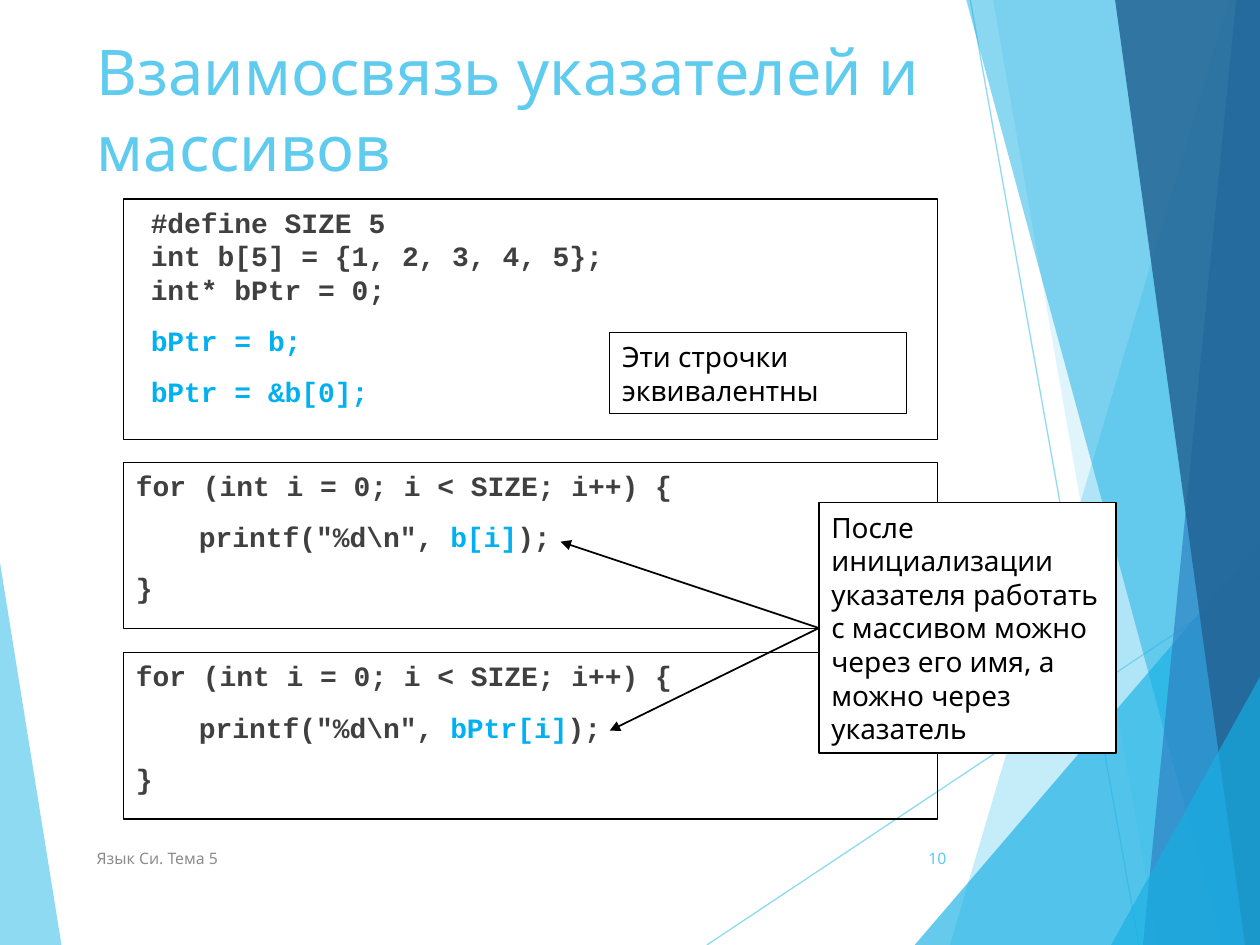
from lxml import etree
from pptx import Presentation
from pptx import util as u
from pptx.dml import color
from pptx.enum import shapes, text
from pptx.oxml import ns

HUES = {"sky": "5FCBEF", "aqua": "17B0E4", "blue": "2E83C3", "navy": "226292",
        "code": "404040", "mark": "00B0F0", "gray": "8C8C8C",
        "black": "000000", "white": "FFFFFF"}
WIDE, HIGH = 25.4, 19.05
LEFT, RIGHT = -0.03, 25.43

WEDGE = (LEFT, 11.15, 1.24, LEFT, "sky", 70)
RAYS = [(14.25, HIGH, RIGHT, 11.61), (19.56, 0, 22.96, HIGH)]
FACETS = [
    (24.77, 0, 19.15, RIGHT, "sky", 36),
    (20.02, 0, 23.34, RIGHT, "sky", 20),
    (RIGHT, 10.9, 18.44, RIGHT, "aqua", 66),
    (19.48, 0, 24.64, RIGHT, "aqua", 50),
    (24.92, 0, 23.04, RIGHT, "blue", 70),
    (22.48, 0, 25.1, RIGHT, "navy", 82),
    (RIGHT, 13.59, 22.4, RIGHT, "aqua", 66),
]


def loop(name):
    return [[("for (int i = 0; i < SIZE; i++) {", "code")],
            [('\tprintf("%d\\n", ', "code"), (name, "mark"), (");", "code")],
            [("}", "code")]]


SETUP = [[(row, "code")] for row in
         ("#define SIZE 5", "int b[5] = {1, 2, 3, 4, 5};", "int* bPtr = 0;")]
SETUP += [[(row, "mark")] for row in ("bPtr = b;", "bPtr = &b[0];")]

SANS = {"name": "Noto Sans", "bold": False}
MONO = {"name": "Courier New", "bold": True, "size": u.Pt(16)}
TITLE = {**SANS, "size": u.Pt(36)}
NOTE = {**SANS, "size": u.Pt(16)}
SMALL = {**SANS, "size": u.Pt(9)}

PARTS = [
    {"at": (1.7, 0.36, 17.63, 3.66), "font": TITLE, "mid": True,
     "rows": [[("Взаимосвязь указателей и массивов", "sky")]]},
    {"at": (2.49, 9.32, 16.41, 3.35), "font": MONO, "edge": True,
     "rows": loop("b[i]"), "gap": 1},
    {"at": (1.7, 16.79, 12.85, 1.02), "font": SMALL, "mid": True,
     "rows": [[("Язык Си. Тема 5", "gray")]]},
    {"at": (17.91, 16.79, 1.42, 1.02), "font": SMALL, "mid": True,
     "rows": [[("10", "sky")]], "side": text.PP_ALIGN.RIGHT},
    {"at": (2.49, 4.01, 16.41, 4.85), "font": MONO, "edge": True,
     "rows": SETUP, "gap": 3, "pad": 0.3},
    {"at": (12.29, 6.71, 5.99, 1.63), "font": NOTE, "edge": True, "mid": True,
     "rows": [[("Эти строчки эквивалентны", "black")]]},
    {"at": (2.49, 13.16, 16.41, 3.35), "font": MONO, "edge": True,
     "rows": loop("bPtr[i]"), "gap": 1},
    {"at": (16.51, 10.13, 5.99, 5.05), "font": NOTE, "edge": True, "mid": True,
     "fill": "white",
     "rows": [[("После инициализации указателя работать с массивом можно "
                "через его имя, а можно через указатель", "black")]]},
]
ARROWS = [(16.51, 12.66, 11.3, 10.92), (16.51, 12.66, 12.29, 14.73)]

deck = Presentation()
deck.slide_width, deck.slide_height = u.Cm(WIDE), u.Cm(HIGH)
slide = deck.slides.add_slide(deck.slide_layouts[6])
tree = slide.shapes


def cms(nums):
    return [u.Cm(num) for num in nums]


def paint(fmt, hue, alpha=100):
    fmt.solid()
    fmt.fore_color.rgb = color.RGBColor.from_string(HUES[hue])
    if alpha < 100:
        for node in fmt._xPr.iter(ns.qn("a:srgbClr")):
            etree.SubElement(node, ns.qn("a:alpha"), val=str(alpha * 1000))


def facet(x, y, foot, side, hue, alpha):
    form = tree.build_freeform(u.Cm(x), u.Cm(y), scale=1.0)
    ends = [(foot, HIGH), (side, HIGH), (side, y)]
    form.add_line_segments([cms(end) for end in ends], close=True)
    shape = form.convert_to_shape()
    shape.shadow.inherit = False
    shape.line.fill.background()
    paint(shape.fill, hue, alpha)


def ray(ends, hue, width, alpha=100, tip=False):
    link = tree.add_connector(shapes.MSO_CONNECTOR.STRAIGHT, *cms(ends))
    link.line.width = u.Pt(width)
    paint(link.line.fill, hue, alpha)
    if tip:
        etree.SubElement(link.line._get_or_add_ln(), ns.qn("a:tailEnd"), type="triangle")
    etree.SubElement(link._element.spPr, ns.qn("a:effectLst"))


def write(part):
    box = tree.add_textbox(*cms(part["at"]))
    frame = box.text_frame
    anchor = text.MSO_ANCHOR
    frame.word_wrap = True
    frame.vertical_anchor = anchor.MIDDLE if part.get("mid") else anchor.TOP
    if "fill" in part:
        paint(box.fill, part["fill"])
    if part.get("edge"):
        paint(box.line.fill, "black")
        box.line.width = u.Pt(0.75)
    for num, row in enumerate(part["rows"]):
        para = frame.add_paragraph() if num else frame.paragraphs[0]
        para.alignment = part.get("side", text.PP_ALIGN.LEFT)
        para.line_spacing = u.Pt(part["font"]["size"].pt * 1.2)
        para.space_before = u.Pt(10 if num >= part.get("gap", 9) else 0)
        props = para._p.get_or_add_pPr()
        props.set("marL", str(u.Cm(part.get("pad", 0))))
        if row[0][0].startswith("\t"):
            tabs = etree.SubElement(props, ns.qn("a:tabLst"))
            etree.SubElement(tabs, ns.qn("a:tab"), pos=str(u.Cm(1.27)), algn="l")
        for words, hue in row:
            run = para.add_run()
            run.text = words
            for key, val in part["font"].items():
                setattr(run.font, key, val)
            paint(run.font.fill, hue)


facet(*WEDGE)
for ends in RAYS:
    ray(ends, "sky", 0.75, alpha=70)
for item in FACETS:
    facet(*item)
for part in PARTS:
    write(part)
for ends in ARROWS:
    ray(ends, "black", 1, tip=True)

deck.save("out.pptx")
